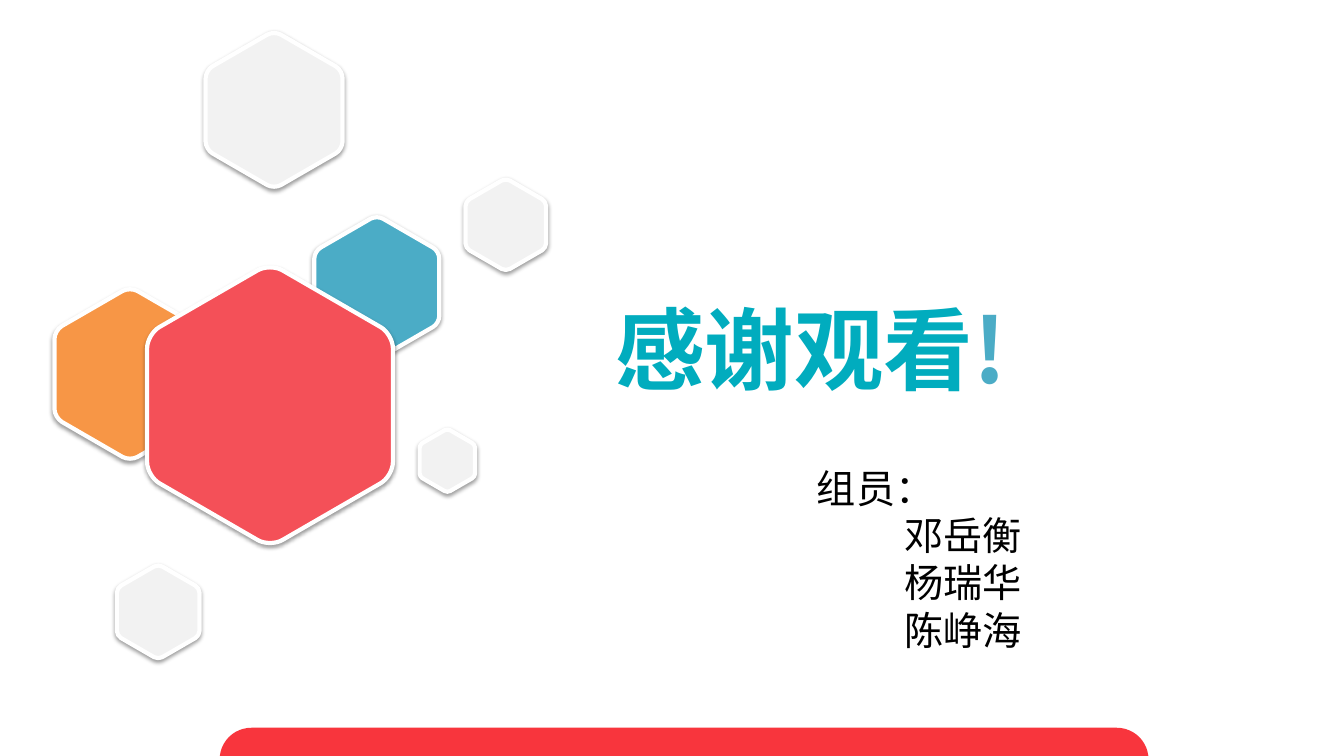
from dataclasses import dataclass
from math import cos, pi, sin, sqrt

from lxml.etree import SubElement
from pptx import Presentation
from pptx.dml.color import RGBColor
from pptx.enum.shapes import MSO_SHAPE
from pptx.enum.text import MSO_ANCHOR
from pptx.oxml.ns import qn
from pptx.util import Emu, Pt

EMU_PER_PX = 9144  # 100 px to the inch


@dataclass(frozen=True)
class Theme:
    white: str = "FFFFFF"
    grey: str = "F2F2F2"
    teal: str = "4BACC6"
    orange: str = "F79646"
    red: str = "F45058"
    bar: str = "F8353D"
    title: str = "01ACBE"
    text: str = "000000"
    title_font: str = "Noto Sans CJK SC"
    body_font: str = "Calibri"
    title_size: int = 64
    body_size: int = 28
    outline: int = 3


THEME = Theme()

# Centre x, centre y, distance between flat sides and colour, from back to front
HEXAGONS = [
    (502, 223, 80, THEME.grey),
    (374, 285, 124, THEME.teal),
    (129, 371, 150, THEME.orange),
    (268, 402, 244, THEME.red),
    (157, 607, 82, THEME.grey),
    (444, 457, 55, THEME.grey),
    (272, 109, 136, THEME.grey),
]
MEMBERS = ["邓岳衡", "杨瑞华", "陈峥海"]
NAME_INDENT = 87
CORNER = 0.1  # part of each side taken by a rounded corner
CORNER_PULL = 0.55  # how far the curve controls reach towards the corner


def px(length):
    return Emu(round(length * EMU_PER_PX))


def fill_shape(shape, color):
    shape.shadow.inherit = False
    shape.fill.solid()
    shape.fill.fore_color.rgb = RGBColor.from_string(color)


def add_soft_shadow(shape):
    effects = shape._element.spPr.find(qn("a:effectLst"))
    shadow = SubElement(effects, qn("a:outerShdw"), blurRad=str(Pt(3.1)),
                        dist=str(Pt(1.6)), dir="5400000", rotWithShape="0")
    color = SubElement(shadow, qn("a:srgbClr"), val="000000")
    SubElement(color, qn("a:alpha"), val="38000")


def blend(start, end, share):
    return tuple(a + (b - a) * share for a, b in zip(start, end))


def add_path_step(path, name, *points):
    step = SubElement(path, qn(f"a:{name}"))
    for x, y in points:
        SubElement(step, qn("a:pt"), x=str(px(x)), y=str(px(y)))


def draw_rounded_hexagon(path, length, height):
    """Draw a hexagon with corners at left and right into a box of this size."""
    radius = height / sqrt(3)
    corners = [(length / 2 + radius * cos(i * pi / 3), height / 2 + radius * sin(i * pi / 3))
               for i in range(6)]
    for i, corner in enumerate(corners):
        start = blend(corner, corners[i - 1], CORNER)
        end = blend(corner, corners[(i + 1) % 6], CORNER)
        add_path_step(path, "lnTo" if i else "moveTo", start)
        add_path_step(path, "cubicBezTo", blend(start, corner, CORNER_PULL),
                      blend(end, corner, CORNER_PULL), end)
    SubElement(path, qn("a:close"))


def add_hexagon(slide, center_x, center_y, height, color):
    # The rounded tips stay a little inside the sharp corners
    tip_inset = CORNER / 2 * (1 - 0.75 * CORNER_PULL)
    length = round(2 * height / sqrt(3) * (1 - tip_inset))
    left, top = px(center_x - length / 2), px(center_y - height / 2)
    right, bottom = left + px(length), top + px(height)

    builder = slide.shapes.build_freeform(left, top)
    builder.add_line_segments([(right, top), (right, bottom), (left, bottom)])
    shape = builder.convert_to_shape()
    path = shape._element.spPr.find(".//" + qn("a:path"))
    for step in list(path):
        path.remove(step)
    draw_rounded_hexagon(path, length, height)

    shape.rotation = 90
    fill_shape(shape, color)
    shape.line.color.rgb = RGBColor.from_string(THEME.white)
    shape.line.width = Pt(THEME.outline)
    add_soft_shadow(shape)


def add_bar(slide, left, top, width, height):
    shape = slide.shapes.add_shape(MSO_SHAPE.ROUNDED_RECTANGLE,
                                   px(left), px(top), px(width), px(height))
    shape.adjustments[0] = 0.5
    fill_shape(shape, THEME.bar)
    shape.line.fill.background()


def add_text_frame(slide, left, top, width, height):
    text_frame = slide.shapes.add_textbox(px(left), px(top), px(width), px(height)).text_frame
    text_frame.word_wrap = True
    return text_frame


def format_run(run, font_name, size, color, bold=False):
    run.font.name = font_name
    run.font.size = Pt(size)
    run.font.bold = bold
    run.font.color.rgb = RGBColor.from_string(color)
    SubElement(run.font._element, qn("a:ea"), typeface=font_name)


def add_title(slide):
    text_frame = add_text_frame(slide, 601, 280, 749, 130)
    text_frame.vertical_anchor = MSO_ANCHOR.MIDDLE
    for text, color in (("感谢观看", THEME.title), ("!", THEME.teal)):
        run = text_frame.paragraphs[0].add_run()
        run.text = text
        format_run(run, THEME.title_font, THEME.title_size, color, bold=True)


def add_member_list(slide):
    text_frame = add_text_frame(slide, 801, 456, 402, 229)
    text_frame.text = "\n".join(["组员：", *MEMBERS])
    for index, paragraph in enumerate(text_frame.paragraphs):
        if index:
            properties = paragraph._p.get_or_add_pPr()
            properties.set("marL", str(px(NAME_INDENT)))
            properties.set("indent", "0")
        format_run(paragraph.runs[0], THEME.body_font, THEME.body_size, THEME.text)


def main():
    presentation = Presentation()
    presentation.slide_width, presentation.slide_height = px(1334), px(750)
    slide = presentation.slides.add_slide(presentation.slide_layouts[6])

    # Title
    add_title(slide)

    # Hexagon cluster
    for hexagon in HEXAGONS:
        add_hexagon(slide, *hexagon)

    # Bar at the bottom edge
    add_bar(slide, 218, 722, 922, 63)

    # Group members
    add_member_list(slide)

    presentation.save("out.pptx")


if __name__ == "__main__":
    main()
